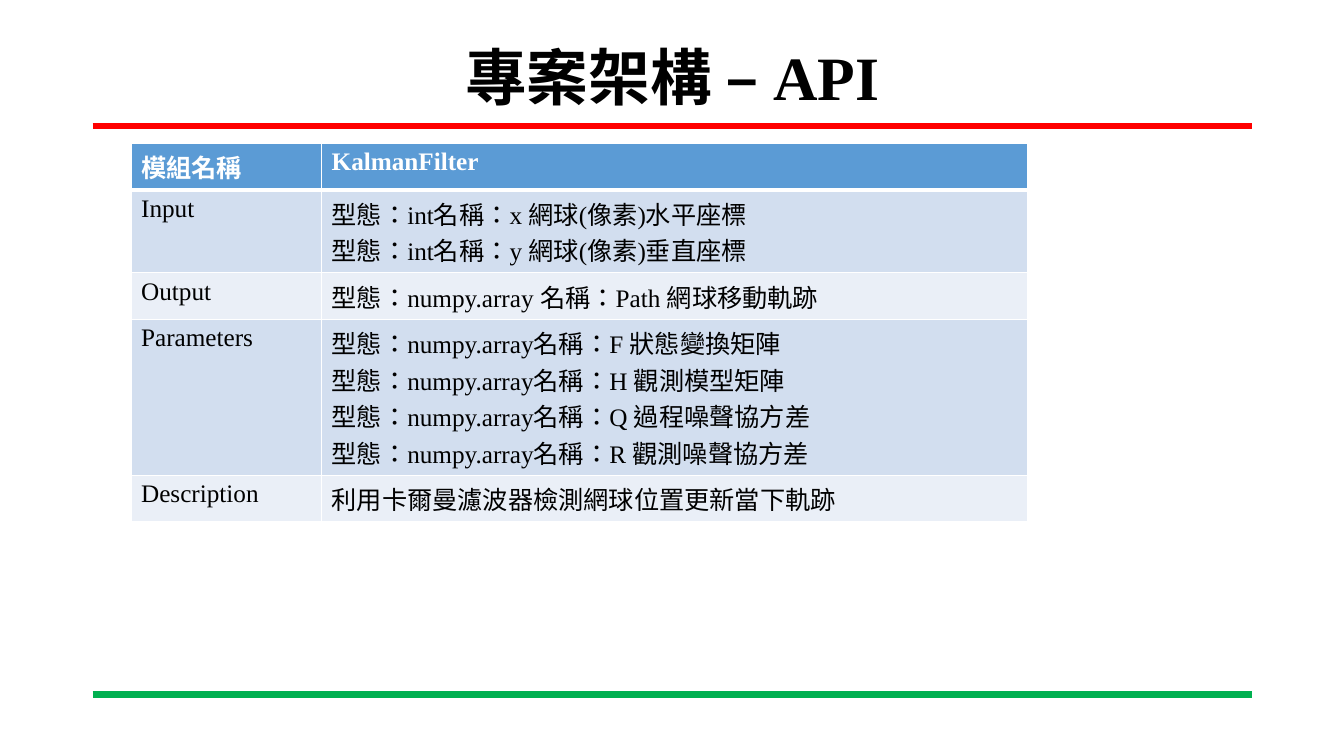
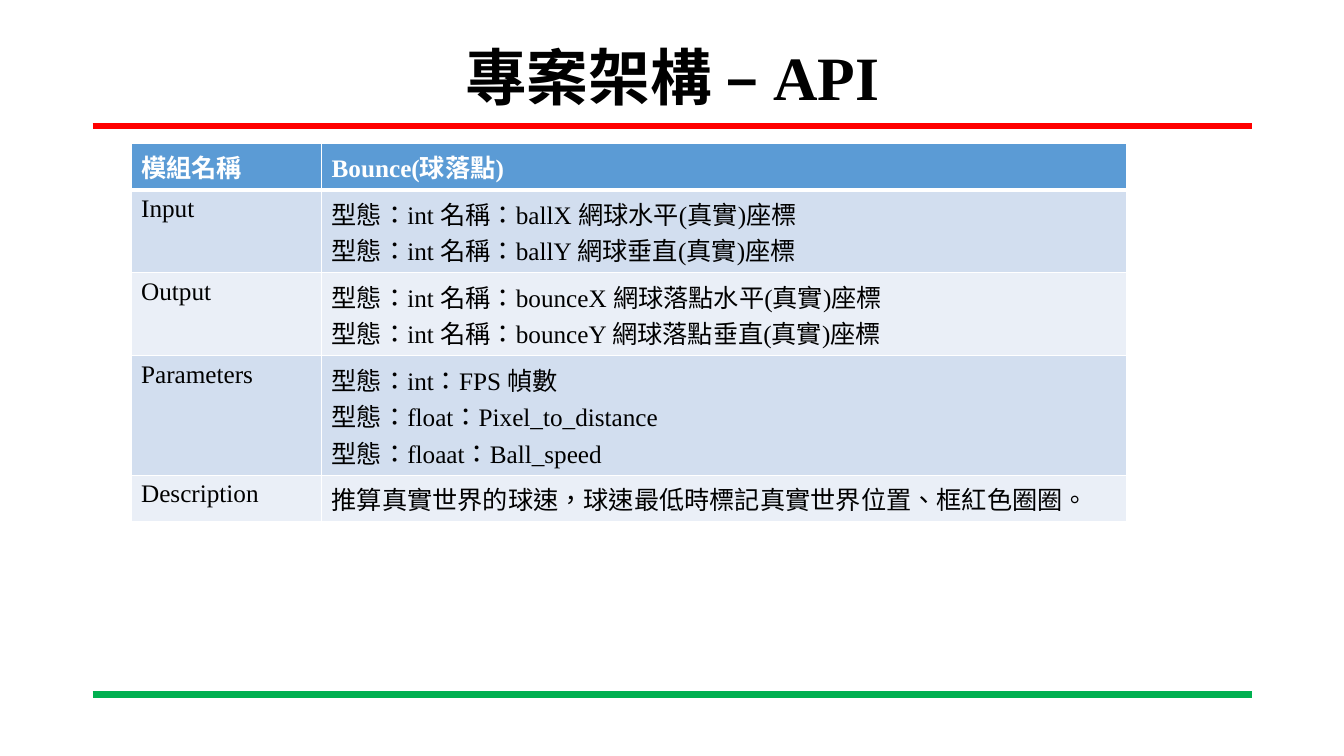
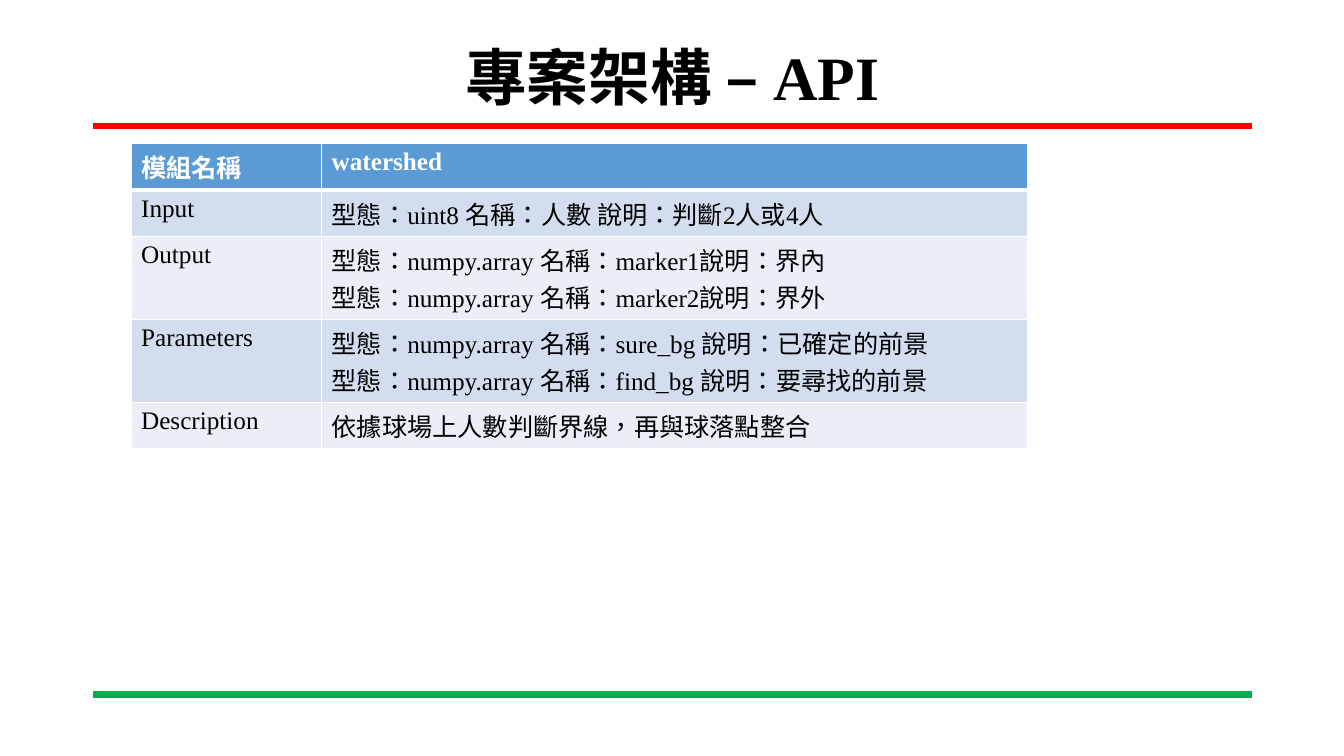
from lxml import etree
from pptx import Presentation
from pptx.dml.color import RGBColor
from pptx.enum.shapes import MSO_CONNECTOR
from pptx.enum.text import MSO_ANCHOR, MSO_AUTO_SIZE, PP_ALIGN
from pptx.oxml.ns import qn
from pptx.util import Emu, Pt

STRAIGHT = MSO_CONNECTOR.STRAIGHT
MIDDLE = MSO_ANCHOR.MIDDLE
CENTER = PP_ALIGN.CENTER
NO_FIT = MSO_AUTO_SIZE.NONE

BLACK = RGBColor(0x00, 0x00, 0x00)
WHITE = RGBColor(0xFF, 0xFF, 0xFF)
RED = RGBColor(0xFF, 0x00, 0x00)
GREEN = RGBColor(0x00, 0xB0, 0x50)
HEADER_BLUE = RGBColor(0x5B, 0x9B, 0xD5)
BAND_DARK = RGBColor(0xD2, 0xDE, 0xEF)
BAND_LIGHT = RGBColor(0xEA, 0xEF, 0xF7)

FONT = "Times New Roman"
LANGUAGE = "zh-TW"
EMU_PER_PX = 9144
SLIDE_WIDTH, SLIDE_HEIGHT = 1333, 750
MARGIN, CONTENT_WIDTH = 92, 1150
TABLE_LEFT, TABLE_TOP = 130, 142
LABEL_WIDTH, ROW_HEIGHT = 189, 41

TITLE = "專案架構 – API"
LABELS = ["模組名稱", "Input", "Output", "Parameters", "Description"]
MODULES = [
    (700, [
        "KalmanFilter",
        "型態：int名稱：x 網球(像素)水平座標\n型態：int名稱：y 網球(像素)垂直座標",
        "型態：numpy.array 名稱：Path 網球移動軌跡",
        "型態：numpy.array名稱：F 狀態變換矩陣\n"
        "型態：numpy.array名稱：H 觀測模型矩陣\n"
        "型態：numpy.array名稱：Q 過程噪聲協方差\n"
        "型態：numpy.array名稱：R 觀測噪聲協方差",
        "利用卡爾曼濾波器檢測網球位置更新當下軌跡",
    ]),
    (798, [
        "Bounce(球落點)",
        "型態：int 名稱：ballX 網球水平(真實)座標\n"
        "型態：int 名稱：ballY 網球垂直(真實)座標",
        "型態：int 名稱：bounceX 網球落點水平(真實)座標\n"
        "型態：int 名稱：bounceY 網球落點垂直(真實)座標",
        "型態：int：FPS 幀數\n型態：float：Pixel_to_distance\n型態：floaat：Ball_speed",
        "推算真實世界的球速，球速最低時標記真實世界位置、框紅色圈圈。",
    ]),
    (700, [
        "watershed",
        "型態：uint8 名稱：人數 說明：判斷2人或4人",
        "型態：numpy.array 名稱：marker1說明：界內\n"
        "型態：numpy.array 名稱：marker2說明：界外",
        "型態：numpy.array 名稱：sure_bg 說明：已確定的前景\n"
        "型態：numpy.array 名稱：find_bg 說明：要尋找的前景",
        "依據球場上人數判斷界線，再與球落點整合",
    ]),
]


def px(length):
    return Emu(length * EMU_PER_PX)


class Deck:
    def __init__(self):
        self.presentation = Presentation()
        self.presentation.slide_width = px(SLIDE_WIDTH)
        self.presentation.slide_height = px(SLIDE_HEIGHT)
        self.slide = None

    def start_slide(self, title):
        layout = self.presentation.slide_layouts[5]
        self.slide = self.presentation.slides.add_slide(layout)
        self.rule(125, RED)
        self.rule(689, GREEN)
        self.title(title)

    def rule(self, y, color):
        rule = self.slide.shapes.add_connector(
            STRAIGHT, px(MARGIN), px(y), px(MARGIN + CONTENT_WIDTH), px(y))
        rule.line.color.rgb = color
        rule.line.width = Pt(4.5)
        etree.SubElement(rule._element.spPr, qn("a:effectLst"))

    def title(self, text):
        heading = self.slide.shapes.title
        heading.left, heading.top = px(MARGIN), px(40)
        heading.width, heading.height = px(CONTENT_WIDTH), px(79)
        frame = heading.text_frame
        frame.text = text
        frame.auto_size = NO_FIT
        frame.vertical_anchor = MIDDLE
        frame.paragraphs[0].alignment = CENTER
        frame.paragraphs[0].line_spacing = 0.9
        self.format_text(frame, 44, BLACK, True)

    def format_text(self, frame, size, color, bold):
        for paragraph in frame.paragraphs:
            for run in paragraph.runs:
                run.font.name = FONT
                run.font.size = Pt(size)
                run.font.bold = bold
                run.font.color.rgb = color
                run._r.get_or_add_rPr().set("lang", LANGUAGE)

    def borders(self, cell, top, bottom):
        properties = cell._tc.get_or_add_tcPr()
        sides = [("lnL", 1), ("lnR", 1), ("lnT", top), ("lnB", bottom)]
        for position, (side, width) in enumerate(sides):
            border = etree.Element(qn(f"a:{side}"), w=str(Pt(width)))
            fill = etree.SubElement(border, qn("a:solidFill"))
            etree.SubElement(fill, qn("a:srgbClr"), val=str(WHITE))
            properties.insert(position, border)

    def module_table(self, detail_width, details):
        table = self.slide.shapes.add_table(
            len(LABELS), 2, px(TABLE_LEFT), px(TABLE_TOP),
            px(LABEL_WIDTH + detail_width), px(ROW_HEIGHT * len(LABELS))).table
        table.columns[0].width = px(LABEL_WIDTH)
        table.columns[1].width = px(detail_width)
        for row, texts in enumerate(zip(LABELS, details)):
            header = row == 0
            band = HEADER_BLUE if header else (BAND_LIGHT, BAND_DARK)[row % 2]
            for column, text in enumerate(texts):
                cell = table.cell(row, column)
                cell.text_frame.text = text
                cell.fill.solid()
                cell.fill.fore_color.rgb = band
                self.format_text(
                    cell.text_frame, 18, WHITE if header else BLACK, header)
                self.borders(cell, 3 if row == 1 else 1, 3 if header else 1)


def main():
    deck = Deck()
    for detail_width, details in MODULES:
        deck.start_slide(TITLE)
        deck.module_table(detail_width, details)
    deck.presentation.save("out.pptx")


if __name__ == "__main__":
    main()
